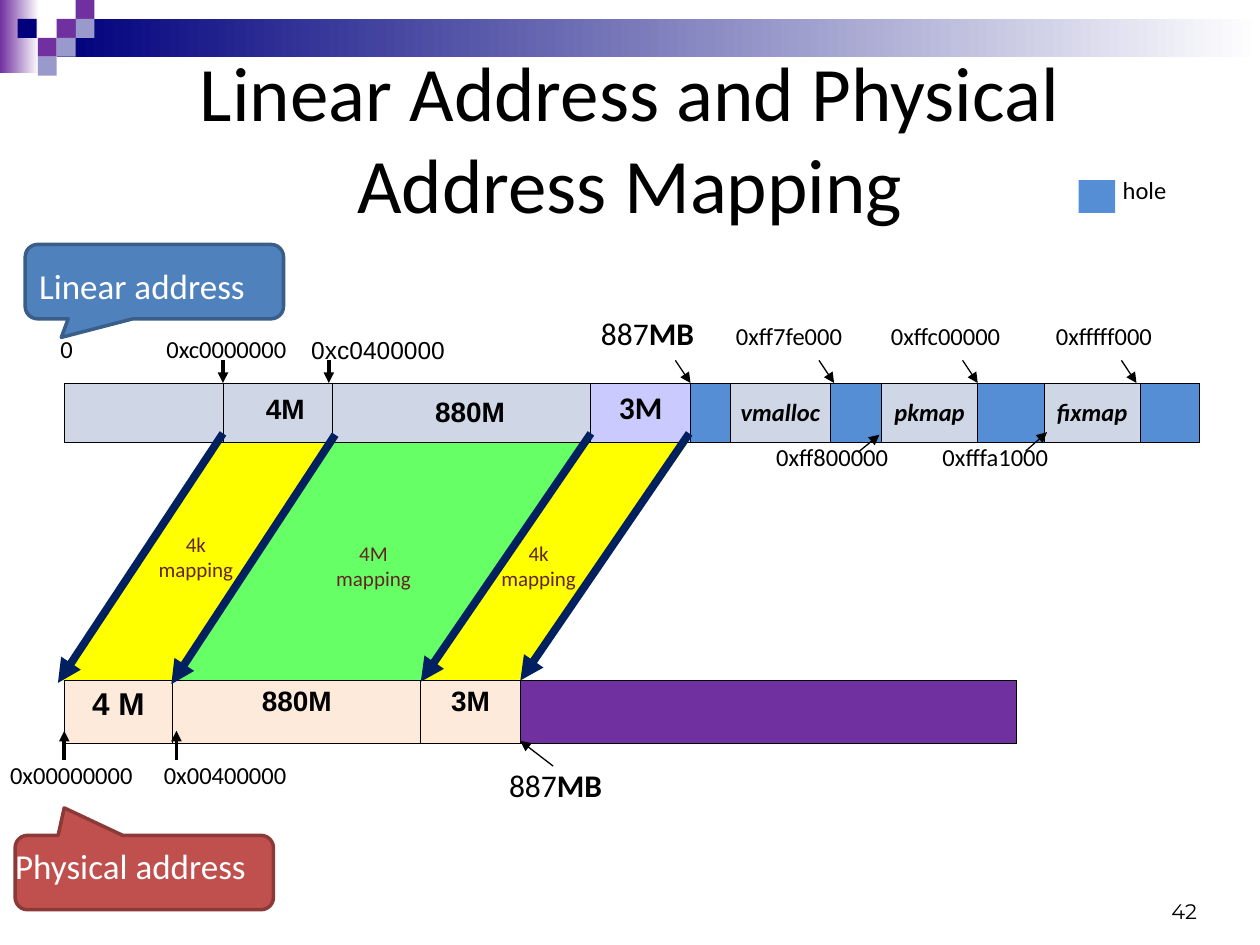
"""Build a slide that maps linear addresses to physical addresses."""
from dataclasses import dataclass

from lxml import etree
from pptx import Presentation
from pptx.dml.color import RGBColor
from pptx.enum.shapes import MSO_CONNECTOR, MSO_SHAPE
from pptx.enum.text import MSO_ANCHOR, MSO_AUTO_SIZE, PP_ALIGN
from pptx.oxml.ns import qn
from pptx.util import Inches, Pt

RECTANGLE = MSO_SHAPE.RECTANGLE
CALLOUT = MSO_SHAPE.ROUNDED_RECTANGULAR_CALLOUT
STRAIGHT = MSO_CONNECTOR.STRAIGHT
LEFT, CENTER, RIGHT = PP_ALIGN.LEFT, PP_ALIGN.CENTER, PP_ALIGN.RIGHT
TOP, MIDDLE, BOTTOM = MSO_ANCHOR.TOP, MSO_ANCHOR.MIDDLE, MSO_ANCHOR.BOTTOM


@dataclass(frozen=True)
class Theme:
    black: str = "000000"
    white: str = "FFFFFF"
    purple: str = "7030A0"
    navy: str = "00007D"
    lavender: str = "9999CC"
    hole: str = "558ED5"
    linear: str = "CFD7E7"
    linear_end: str = "CACAFF"
    physical: str = "FDEADA"
    small_page: str = "FFFF00"
    large_page: str = "66FF66"
    mapping_arrow: str = "002060"
    mapping_text: str = "632523"
    body_font: str = "Calibri"
    block_font: str = "Arial"
    number_font: str = "Montserrat"
    title_size: int = 44
    callout_size: int = 20
    large_size: int = 18
    block_size: int = 16
    label_size: int = 14
    small_size: int = 12


theme = Theme()


def paint(shape, fill, line=None):
    shape.shadow.inherit = False
    shape.fill.solid()
    shape.fill.fore_color.rgb = RGBColor.from_string(fill)
    if line:
        shape.line.color.rgb = RGBColor.from_string(line)
        shape.line.width = Pt(2)
    else:
        shape.line.fill.background()


def add_text(lines, left, top, width, height, size=theme.label_size, color=theme.black,
             font=theme.body_font, bold=False, align=LEFT, anchor=TOP):
    box = slide.shapes.add_textbox(Inches(left), Inches(top), Inches(width), Inches(height))
    frame = box.text_frame
    frame.word_wrap = True
    frame.vertical_anchor = anchor
    frame.margin_left = frame.margin_right = frame.margin_top = frame.margin_bottom = 0
    frame.text = lines
    for paragraph in frame.paragraphs:
        paragraph.alignment = align
        paragraph.font.size = Pt(size)
        paragraph.font.name = font
        paragraph.font.bold = bold
        paragraph.font.color.rgb = RGBColor.from_string(color)
    return frame


presentation = Presentation()
presentation.slide_width, presentation.slide_height = Inches(10), Inches(7.5)
slide = presentation.slides.add_slide(presentation.slide_layouts[5])

title = slide.shapes.title
title.left, title.top, title.width, title.height = Inches(0.5), Inches(0.3), Inches(9), Inches(1.25)
title.text_frame.text = "Linear Address and Physical Address Mapping"
title.text_frame.auto_size = MSO_AUTO_SIZE.NONE
title.text_frame.vertical_anchor = TOP
heading = title.text_frame.paragraphs[0]
heading.alignment = CENTER
heading.font.size = Pt(theme.title_size)
heading.font.name = theme.body_font
heading.font.color.rgb = RGBColor.from_string(theme.black)

for left, top, width, height, color in [(0, 0, 0.31, 0.58, theme.purple),
                                        (0.45, 0.15, 9.55, 0.3, theme.navy)]:
    band = slide.shapes.add_shape(RECTANGLE, Inches(left), Inches(top), Inches(width), Inches(height))
    paint(band, color)
    band.fill.gradient()
    band.fill.gradient_angle = 0
    for stop, position, stop_color in zip(band.fill.gradient_stops, (0, 1), (color, theme.white)):
        stop.position = position
        stop.color.rgb = RGBColor.from_string(stop_color)

for left, top, color in [
    (0.45, 0.15, theme.purple), (0.6, 0, theme.purple), (0.6, 0.15, theme.lavender),
    (0.3, 0.3, theme.purple), (0.14, 0.15, theme.navy), (0.45, 0.3, theme.lavender),
    (0.3, 0.45, theme.lavender),
]:
    square = slide.shapes.add_shape(RECTANGLE, Inches(left), Inches(top), Inches(0.15), Inches(0.15))
    paint(square, color)

for color, corners in [
    (theme.small_page, [(3.36, 5.41), (4.69, 3.45), (5.48, 3.46), (4.15, 5.38)]),
    (theme.large_page, [(2.65, 3.45), (4.69, 3.45), (3.34, 5.41), (1.38, 5.41)]),
    (theme.small_page, [(1.76, 3.45), (2.65, 3.45), (1.37, 5.41), (0.5, 5.39)]),
]:
    points = [(Inches(x), Inches(y)) for x, y in corners]
    builder = slide.shapes.build_freeform(*points[0])
    builder.add_line_segments(points[1:], close=True)
    paint(builder.convert_to_shape(), color, color)

for text, left, top, fill, line, tip, text_left, text_top in [
    ("Physical address", 0.12, 6.63, "C0504D", "8C3A38", (-0.31, -0.87), 0.12, 6.7),
    ("Linear address", 0.2, 1.94, "4F81BD", "3A5E8A", (-0.36, 0.75), 0.31, 2.1),
]:
    callout = slide.shapes.add_shape(CALLOUT, Inches(left), Inches(top), Inches(2.05), Inches(0.59))
    callout.adjustments[0], callout.adjustments[1] = tip
    paint(callout, fill, line)
    add_text(text, text_left, text_top, 2.05, 0.33, theme.callout_size, theme.white)

region = ("", theme.linear, 0, theme.body_font, False, TOP)
hole = ("", theme.hole, 0, theme.body_font, False, TOP)
linear_cells = [region] * 3 + [
    ("3M", theme.linear_end, theme.large_size, theme.body_font, False, TOP)]
for name in ("vmalloc", "pkmap", "fixmap"):
    linear_cells += [hole, (name, theme.linear, theme.label_size, theme.body_font, True, MIDDLE)]
linear_cells.append(hole)
physical_cells = [
    (text, theme.physical, size, theme.block_font, False, TOP)
    for text, size in [("4 M", theme.large_size), ("880M", theme.block_size), ("3M", theme.block_size)]
] + [("", theme.purple, 0, theme.block_font, False, TOP)]

for top, height, widths, cells in [
    (3.04, 0.47, [1.26, 0.87, 2.05, 0.79, 0.32, 0.79, 0.41, 0.76, 0.53, 0.76, 0.47], linear_cells),
    (5.4, 0.5, [0.86, 1.97, 0.79, 3.94], physical_cells),
]:
    table = slide.shapes.add_table(1, len(cells), Inches(0.51), Inches(top),
                                   Inches(sum(widths)), Inches(height)).table
    table.first_row = table.horz_banding = False
    for index, (text, fill, size, font, italic, anchor) in enumerate(cells):
        table.columns[index].width = Inches(widths[index])
        cell = table.cell(0, index)
        cell.margin_left = cell.margin_right = cell.margin_top = cell.margin_bottom = Inches(0.05)
        cell.vertical_anchor = anchor
        properties = cell._tc.get_or_add_tcPr()
        for side in ("a:lnL", "a:lnR", "a:lnT", "a:lnB"):
            border = etree.SubElement(properties, qn(side), w=str(Pt(0.45)))
            border_fill = etree.SubElement(border, qn("a:solidFill"))
            etree.SubElement(border_fill, qn("a:srgbClr"), val=theme.black)
        cell.fill.solid()
        cell.fill.fore_color.rgb = RGBColor.from_string(fill)
        if text:
            cell.text = text
            paragraph = cell.text_frame.paragraphs[0]
            paragraph.alignment = CENTER
            paragraph.font.size = Pt(size)
            paragraph.font.name = font
            paragraph.font.bold = True
            paragraph.font.italic = italic
            paragraph.font.color.rgb = RGBColor.from_string(theme.black)

legend = slide.shapes.add_shape(RECTANGLE, Inches(8.56), Inches(1.43), Inches(0.29), Inches(0.26))
paint(legend, theme.hole)

for text, left, top in [
    ("hole", 8.91, 1.39), ("0", 0.48, 2.65), ("0xc0000000", 1.32, 2.65),
    ("0xff7fe000", 5.84, 2.55), ("0xffc00000", 7.07, 2.55), ("0xfffff000", 8.38, 2.55),
    ("0xff800000", 6.16, 3.51), ("0xfffa1000", 7.48, 3.51),
    ("0x00000000", 0.08, 6.03), ("0x00400000", 1.3, 6.03),
]:
    add_text(text, left, top, 1.05, 0.23)
add_text("0xc0400000", 2.47, 2.66, 1.33, 0.24, font=theme.block_font)
for left, top in [(4.77, 2.49), (4.04, 6.08)]:
    unit = add_text("887", left, top, 0.9, 0.3, theme.large_size).paragraphs[0].add_run()
    unit.text = "MB"
    unit.font.bold = True
for text, left, top, width in [("4M", 1.93, 3.11, 0.67), ("880M", 3.32, 3.13, 0.82)]:
    add_text(text, left, top, width, 0.27, theme.block_size, font=theme.block_font,
             bold=True, align=CENTER)
for text, left, top in [("4k", 1.14, 4.22), ("4M", 2.55, 4.29), ("4k", 3.86, 4.29)]:
    add_text(f"{text}\nmapping", left, top, 0.83, 0.4, theme.small_size, theme.mapping_text,
             align=CENTER, anchor=MIDDLE)
add_text("42", 7.17, 7.13, 2.33, 0.2, theme.small_size, font=theme.number_font,
         align=RIGHT, anchor=BOTTOM)

arrow_groups = [
    (theme.mapping_arrow, 4.5, [(2.66, 3.45, 1.36, 5.43), (4.69, 3.44, 3.34, 5.41),
                                (5.47, 3.44, 4.13, 5.4), (1.77, 3.44, 0.46, 5.42)]),
    (theme.black, 0.75, [(x, 2.86, x + 0.12, 3.04) for x in (5.36, 6.5, 7.64, 8.9)]
     + [(6.81, 3.59, 6.98, 3.45), (8.14, 3.58, 8.31, 3.43), (4.39, 6.08, 4.13, 5.88)]),
    (theme.black, 2, [(x, 2.86, x, 3.04) for x in (1.77, 2.61)]
     + [(x, 6.03, x, 5.8) for x in (0.51, 1.4)]),
]
for color, width, arrows in arrow_groups:
    for ends in arrows:
        arrow = slide.shapes.add_connector(STRAIGHT, *[Inches(value) for value in ends])
        arrow.line.color.rgb = RGBColor.from_string(color)
        arrow.line.width = Pt(width)
        etree.SubElement(arrow.line._get_or_add_ln(), qn("a:tailEnd"), type="triangle")
        etree.SubElement(arrow._element.spPr, qn("a:effectLst"))

presentation.save("out.pptx")
